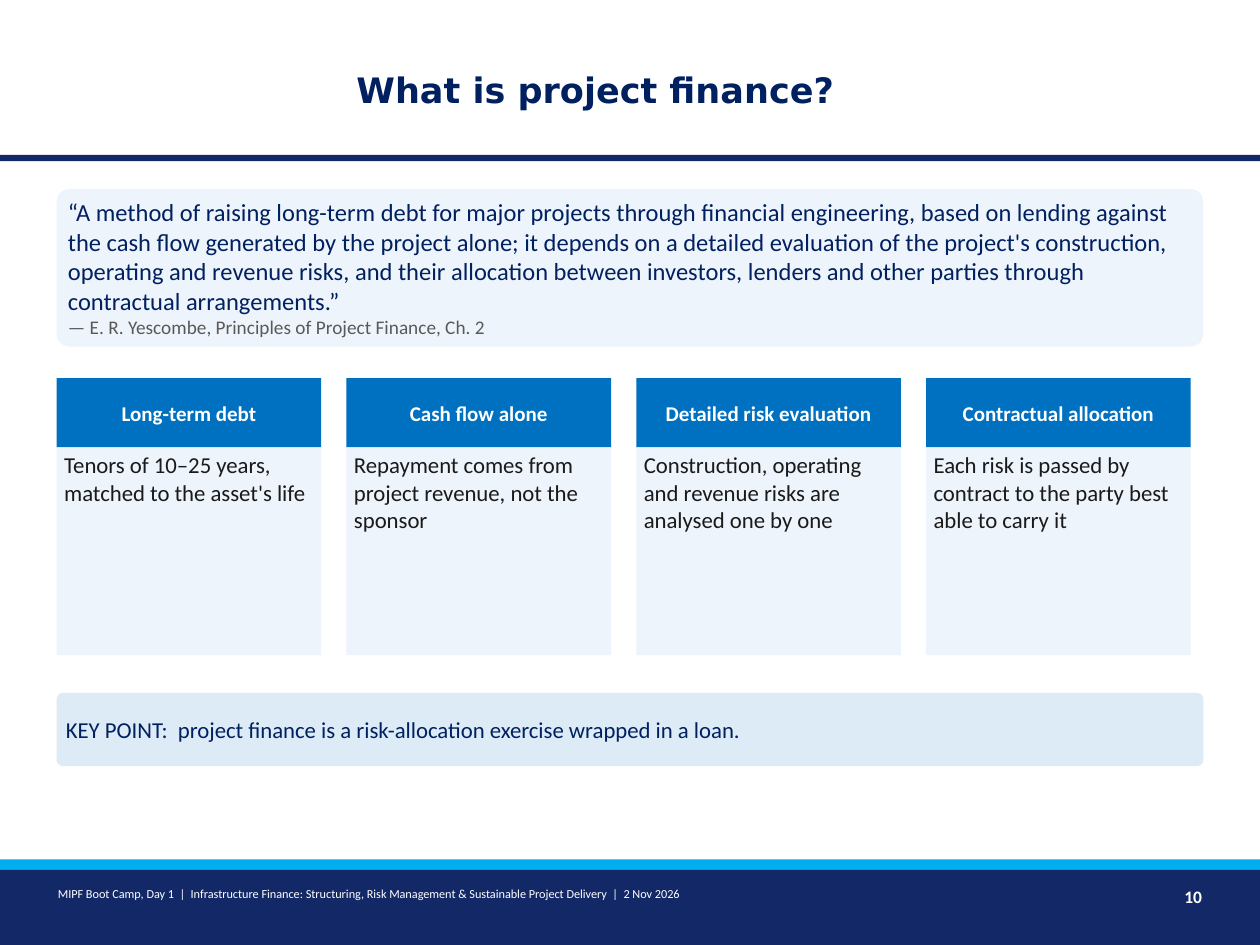
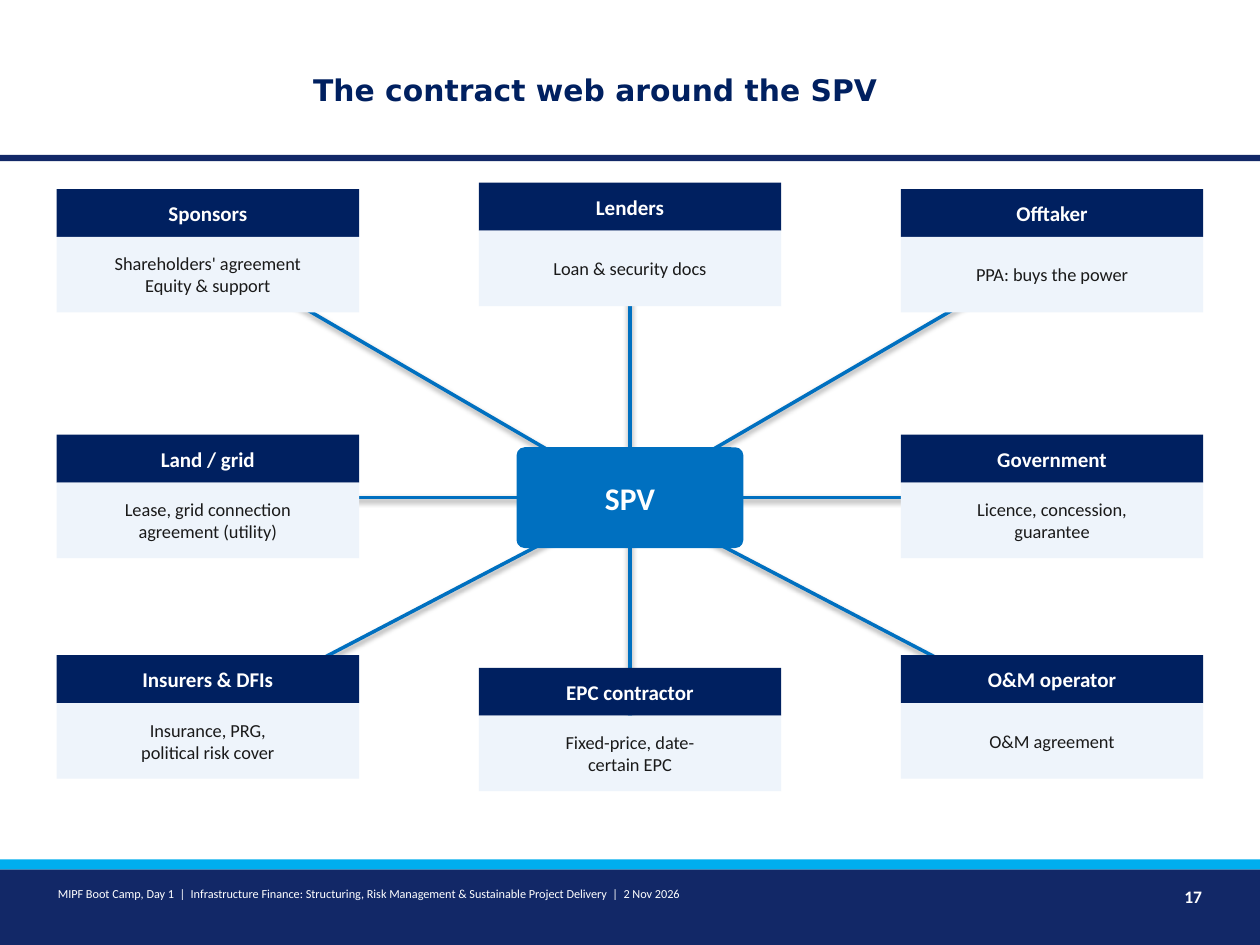
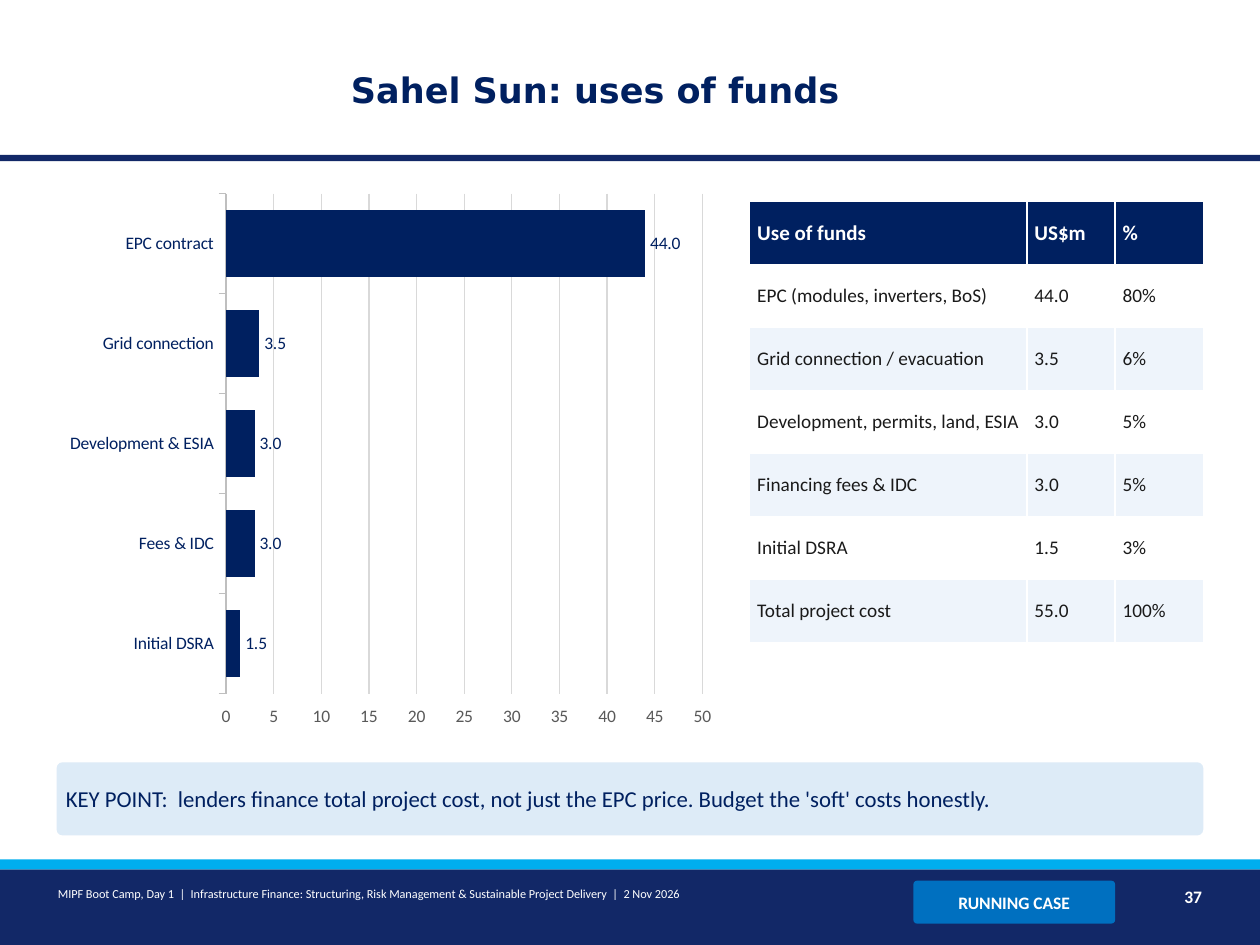
from pptx import Presentation
from pptx.chart.data import CategoryChartData
from pptx.dml.color import RGBColor
from pptx.enum.chart import XL_CHART_TYPE, XL_LABEL_POSITION, XL_TICK_MARK
from pptx.enum.shapes import MSO_CONNECTOR, MSO_SHAPE
from pptx.enum.text import MSO_ANCHOR, PP_ALIGN
from pptx.util import Emu, Pt

EMU_PER_PX = 9144
WIDTH, HEIGHT = 1000, 750
MARGIN, CONTENT_WIDTH = 45, 910

BAND, CYAN, NAVY, BLUE = "122867", "00AEEF", "002060", "0070C0"
PALE, CALLOUT, INK, GREY, WHITE = "EEF4FB", "DDEBF7", "1A1A1A", "595959", "FFFFFF"
AXIS, GRID = "BFBFBF", "D9D9D9"

LEFT, CENTER, RIGHT = PP_ALIGN.LEFT, PP_ALIGN.CENTER, PP_ALIGN.RIGHT
TOP, MIDDLE = MSO_ANCHOR.TOP, MSO_ANCHOR.MIDDLE
COURSE = ("MIPF Boot Camp, Day 1  |  Infrastructure Finance: Structuring, Risk "
          "Management & Sustainable Project Delivery  |  2 Nov 2026")


def px(length):
    return Emu(length * EMU_PER_PX)


def rgb(color):
    return RGBColor.from_string(color)


def style_font(font, size, color, bold=False, name="Calibri"):
    font.name, font.size, font.bold = name, Pt(size), bold
    font.color.rgb = rgb(color)


def write(paragraph, text, size=13, color=INK, bold=False, name="Calibri",
          align=LEFT, after=0):
    paragraph.alignment = align
    paragraph.space_after = Pt(after)
    run = paragraph.add_run()
    run.text = text
    style_font(run.font, size, color, bold, name)


class Deck:
    def __init__(self):
        self.presentation = Presentation()
        self.presentation.slide_width = px(WIDTH)
        self.presentation.slide_height = px(HEIGHT)
        self.slide = None

    def start(self, title, number, size=20):
        layout = self.presentation.slide_layouts[6]
        self.slide = self.presentation.slides.add_slide(layout)
        self.box(0, 123, WIDTH, 5, BAND)
        self.box(0, 690, WIDTH, 60, BAND)
        self.box(0, 682, WIDTH, 8, CYAN)
        self.label(230, 22, 485, 98, title, insets=(10, 5), anchor=MIDDLE,
                   size=size, color=NAVY, bold=True, name="DejaVu Sans", align=CENTER)
        self.label(40, 700, 680, 35, COURSE, size=7, color=WHITE)
        self.label(900, 700, 60, 35, str(number), size=10, color=WHITE,
                   bold=True, align=RIGHT)

    def fill_frame(self, frame, text, anchor, insets=(6, 3), **style):
        frame.word_wrap = True
        frame.vertical_anchor = anchor
        frame.margin_left = frame.margin_right = px(insets[0])
        frame.margin_top = frame.margin_bottom = px(insets[1])
        for index, line in enumerate(text.split("\n")):
            paragraph = frame.add_paragraph() if index else frame.paragraphs[0]
            write(paragraph, line, **style)

    def label(self, x, y, width, height, text, anchor=TOP, insets=(6, 3), **style):
        box = self.slide.shapes.add_textbox(px(x), px(y), px(width), px(height))
        self.fill_frame(box.text_frame, text, anchor, insets, **style)

    def box(self, x, y, width, height, fill, text="", rounded=False,
            anchor=MIDDLE, **style):
        kind = MSO_SHAPE.ROUNDED_RECTANGLE if rounded else MSO_SHAPE.RECTANGLE
        shape = self.slide.shapes.add_shape(kind, px(x), px(y), px(width), px(height))
        shape.shadow.inherit = False
        shape.fill.solid()
        shape.fill.fore_color.rgb = rgb(fill)
        shape.line.fill.background()
        if rounded:
            shape.adjustments[0] = 0.08
        if text:
            self.fill_frame(shape.text_frame, text, anchor, **style)
        return shape

    def heading(self, x, y, width, height, fill, text, size=12, rounded=False):
        self.box(x, y, width, height, fill, text, rounded, size=size,
                 color=WHITE, bold=True, align=CENTER)

    def key_point(self, y, message):
        self.box(MARGIN, y, CONTENT_WIDTH, 58, CALLOUT, f"KEY POINT:  {message}",
                 rounded=True, color=NAVY)

    def link(self, start, end):
        line = self.slide.shapes.add_connector(
            MSO_CONNECTOR.STRAIGHT, *map(px, (*start, *end)))
        line.line.color.rgb = rgb(BLUE)
        line.line.width = Pt(2)

    def table(self, x, y, widths, row_height, rows):
        frame = self.slide.shapes.add_table(
            len(rows), len(widths), px(x), px(y),
            px(sum(widths)), px(row_height * len(rows)))
        table = frame.table
        for column, width in zip(table.columns, widths):
            column.width = px(width)
        for r, values in enumerate(rows):
            fill = PALE if r % 2 == 0 else WHITE
            style = dict(size=11)
            if r == 0:
                fill, style = NAVY, dict(size=12, color=WHITE, bold=True)
            for c, value in enumerate(values):
                cell = table.cell(r, c)
                cell.fill.solid()
                cell.fill.fore_color.rgb = rgb(fill)
                cell.vertical_anchor = MIDDLE
                cell.margin_left = cell.margin_right = px(6)
                cell.margin_top = cell.margin_bottom = px(3)
                write(cell.text_frame.paragraphs[0], value, **style)

    def bar_chart(self, x, y, width, height, values, maximum, step):
        data = CategoryChartData(number_format="0.0")
        data.categories = list(values)
        data.add_series("Series 1", list(values.values()))
        chart = self.slide.shapes.add_chart(
            XL_CHART_TYPE.BAR_CLUSTERED, px(x), px(y), px(width), px(height), data).chart
        chart.has_legend = chart.has_title = False
        style_font(chart.font, 11, NAVY)

        plot = chart.plots[0]
        plot.gap_width = 50
        plot.vary_by_categories = False
        bars = plot.series[0].format.fill
        bars.solid()
        bars.fore_color.rgb = rgb(NAVY)
        plot.has_data_labels = True
        labels = plot.data_labels
        labels.show_value = True
        labels.position = XL_LABEL_POSITION.OUTSIDE_END
        labels.number_format, labels.number_format_is_linked = "0.0", False
        style_font(labels.font, 10, NAVY)

        categories, scale = chart.category_axis, chart.value_axis
        for axis, color in ((categories, NAVY), (scale, GREY)):
            axis.major_tick_mark = XL_TICK_MARK.OUTSIDE
            style_font(axis.tick_labels.font, 10, color)
        scale.minimum_scale, scale.maximum_scale, scale.major_unit = 0, maximum, step
        scale.tick_labels.number_format = "0"
        scale.tick_labels.number_format_is_linked = False
        scale.format.line.fill.background()
        for line, color in ((categories.format.line, AXIS),
                            (scale.major_gridlines.format.line, GRID)):
            line.color.rgb = rgb(color)
            line.width = Pt(0.75)


def definition_slide(deck):
    deck.start("What is project finance?", 10)
    quote = deck.box(
        MARGIN, 150, CONTENT_WIDTH, 125, PALE,
        "“A method of raising long-term debt for major projects through financial "
        "engineering, based on lending against the cash flow generated by the project "
        "alone; it depends on a detailed evaluation of the project's construction, "
        "operating and revenue risks, and their allocation between investors, lenders "
        "and other parties through contractual arrangements.”",
        rounded=True, size=14, color=NAVY)
    write(quote.text_frame.add_paragraph(),
          "— E. R. Yescombe, Principles of Project Finance, Ch. 2", size=11, color=GREY)
    features = (
        ("Long-term debt", "Tenors of 10–25 years, matched to the asset's life"),
        ("Cash flow alone", "Repayment comes from project revenue, not the sponsor"),
        ("Detailed risk evaluation",
         "Construction, operating and revenue risks are analysed one by one"),
        ("Contractual allocation",
         "Each risk is passed by contract to the party best able to carry it"),
    )
    for index, (feature, meaning) in enumerate(features):
        x = MARGIN + 230 * index
        deck.heading(x, 300, 210, 55, BLUE, feature)
        deck.box(x, 355, 210, 165, PALE, meaning, anchor=TOP, after=3)
    deck.key_point(550, "project finance is a risk-allocation exercise wrapped in a loan.")


def contract_web_slide(deck):
    deck.start("The contract web around the SPV", 17, size=17)
    west, middle, east = (MARGIN + 335 * column for column in range(3))
    parties = (
        (west, 150, "Sponsors", "Shareholders' agreement\nEquity & support"),
        (middle, 145, "Lenders", "Loan & security docs"),
        (east, 150, "Offtaker", "PPA: buys the power"),
        (east, 345, "Government", "Licence, concession,\nguarantee"),
        (east, 520, "O&M operator", "O&M agreement"),
        (middle, 530, "EPC contractor", "Fixed-price, date-\ncertain EPC"),
        (west, 520, "Insurers & DFIs", "Insurance, PRG,\npolitical risk cover"),
        (west, 345, "Land / grid", "Lease, grid connection\nagreement (utility)"),
    )
    for x, y, _, _ in parties:
        deck.link((x + 120, y + 50), (500, 395))
    deck.heading(410, 355, 180, 80, BLUE, "SPV", size=18, rounded=True)
    for x, y, party, contract in parties:
        deck.heading(x, y, 240, 38, NAVY, party)
        deck.box(x, y + 38, 240, 60, PALE, contract, size=10.5, align=CENTER)


def uses_of_funds_slide(deck):
    deck.start("Sahel Sun: uses of funds", 37)
    deck.heading(725, 699, 160, 34, BLUE, "RUNNING CASE", size=10, rounded=True)
    costs = {"Initial DSRA": 1.5, "Fees & IDC": 3.0, "Development & ESIA": 3.0,
             "Grid connection": 3.5, "EPC contract": 44.0}
    deck.bar_chart(MARGIN, 145, 530, 440, costs, maximum=50, step=5)
    deck.table(595, 160, (220, 70, 70), 50, (
        ("Use of funds", "US$m", "%"),
        ("EPC (modules, inverters, BoS)", "44.0", "80%"),
        ("Grid connection / evacuation", "3.5", "6%"),
        ("Development, permits, land, ESIA", "3.0", "5%"),
        ("Financing fees & IDC", "3.0", "5%"),
        ("Initial DSRA", "1.5", "3%"),
        ("Total project cost", "55.0", "100%"),
    ))
    deck.key_point(605, "lenders finance total project cost, not just the EPC price. "
                        "Budget the 'soft' costs honestly.")


def main():
    deck = Deck()
    definition_slide(deck)
    contract_web_slide(deck)
    uses_of_funds_slide(deck)
    deck.presentation.save("out.pptx")


if __name__ == "__main__":
    main()
